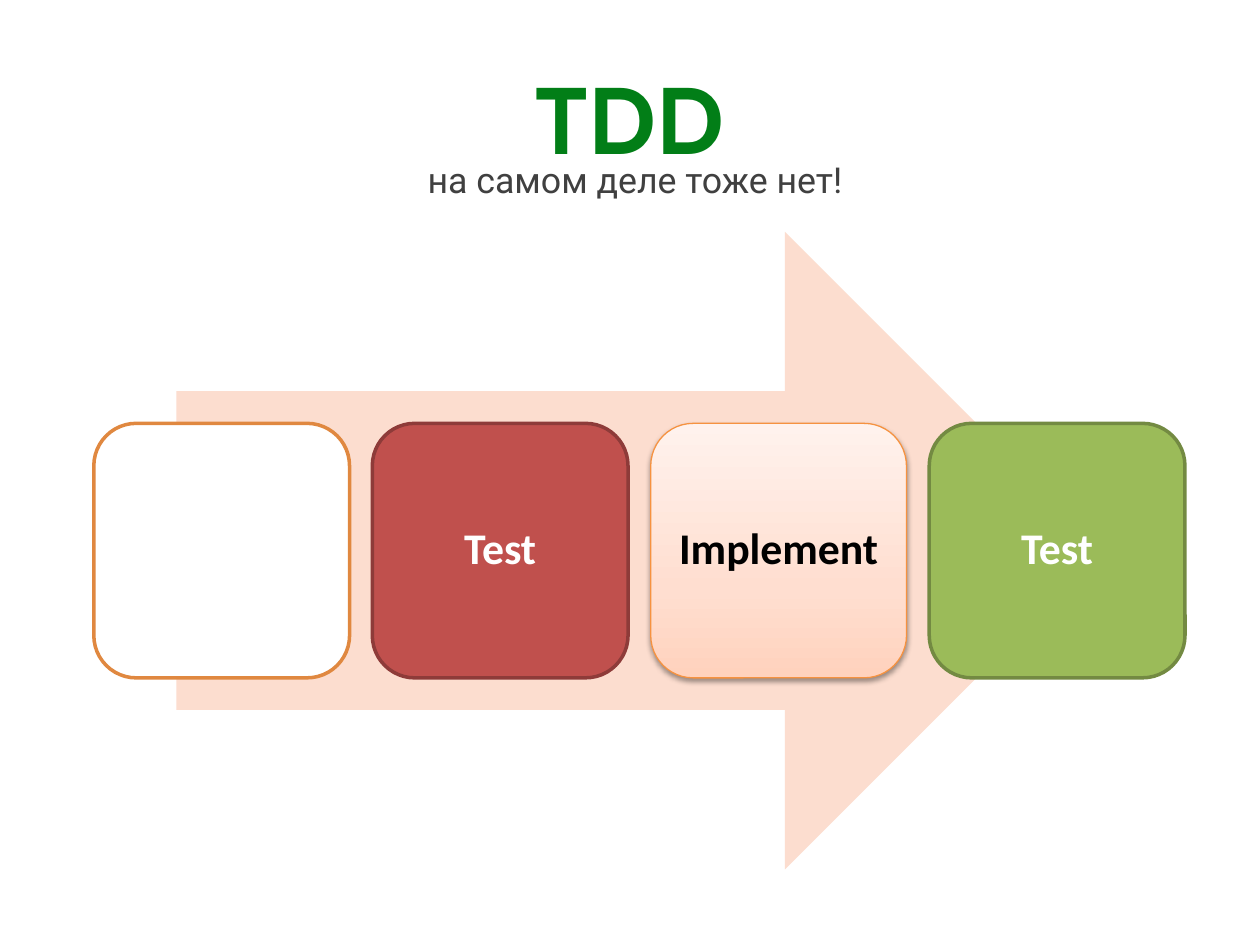
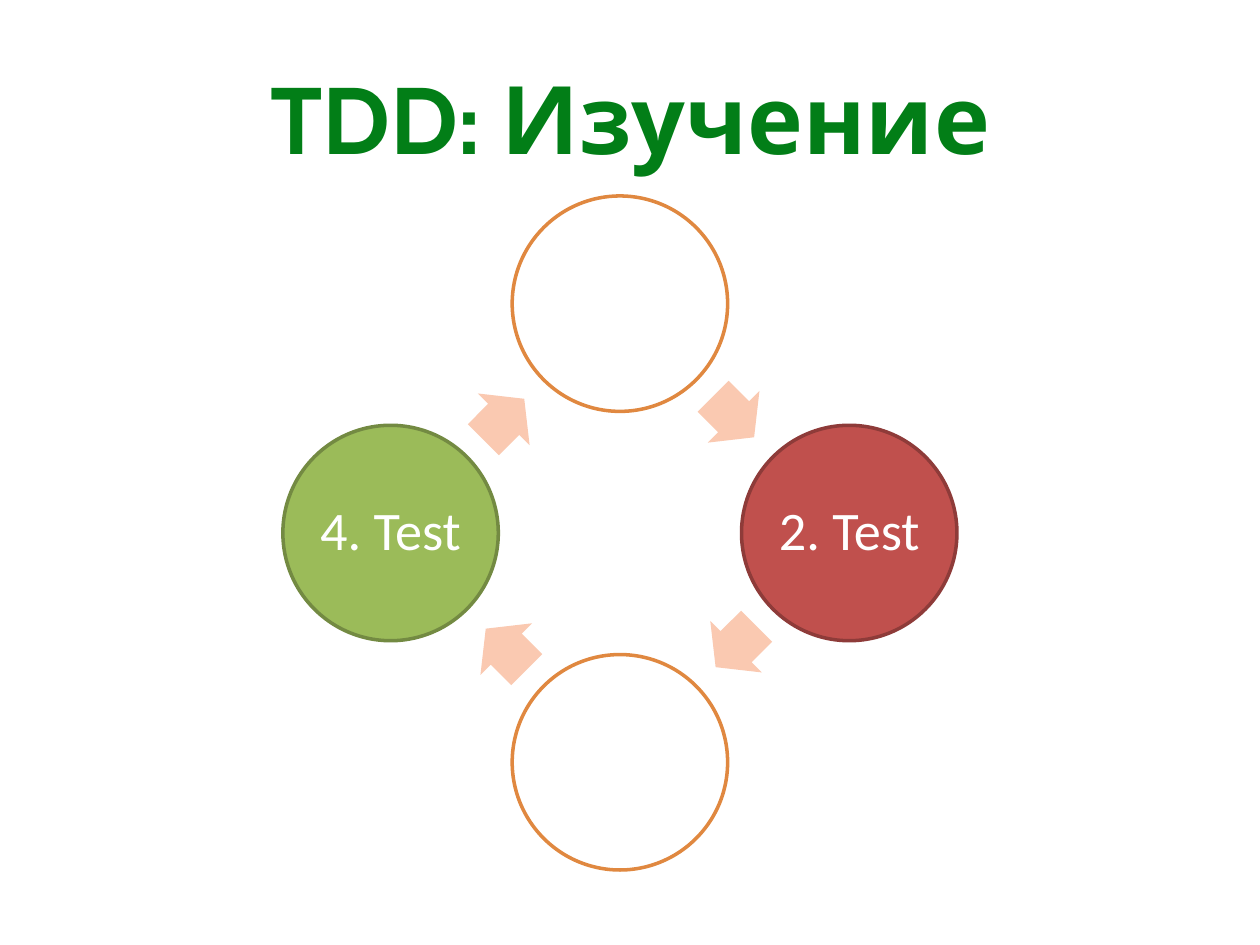
from copy import deepcopy
from math import cos, radians, sin

from lxml.etree import SubElement
from pptx import Presentation
from pptx.dml.color import RGBColor as RGB
from pptx.enum.shapes import MSO_SHAPE as Kind
from pptx.enum.text import MSO_ANCHOR as Anchor, MSO_AUTO_SIZE as Auto, PP_ALIGN as Align
from pptx.oxml.ns import qn
from pptx.util import Inches as In, Pt

WIDE, HIGH = 10, 7.5
WHITE = RGB(0xFF, 0xFF, 0xFF)
BLACK = RGB(0, 0, 0)
GREEN = RGB(0x02, 0x7E, 0x17)
GREY = RGB(0x40, 0x40, 0x40)
RIM = RGB(0xE0, 0x88, 0x40)
GLOW = RGB(0xF6, 0x92, 0x40)
RED, MAROON = RGB(0xC0, 0x50, 0x4D), RGB(0x8E, 0x3B, 0x39)
LIME, OLIVE = RGB(0x9B, 0xBB, 0x59), RGB(0x73, 0x8A, 0x42)
PEACH = RGB(0xFC, 0xDD, 0xCF)
CORAL = RGB(0xFA, 0xC9, 0xB1)
FADE = [(0, RGB(0xFF, 0xD2, 0xBD)), (0.35, RGB(0xFF, 0xDE, 0xD0)), (1, RGB(0xFF, 0xF2, 0xED))]


def write(shape, text, font="Calibri", size=25, color=WHITE, bold=False, inset=0.1, space=None):
    frame = shape.text_frame
    frame.auto_size = Auto.NONE
    frame.word_wrap = False
    frame.vertical_anchor = Anchor.MIDDLE
    frame.margin_left = frame.margin_right = In(inset)
    frame.margin_top = frame.margin_bottom = In(inset)
    para = frame.paragraphs[0]
    para.alignment = Align.CENTER
    para.line_spacing = space
    run = para.add_run()
    run.text = text
    run.font.name, run.font.size, run.font.bold = font, Pt(size), bold
    run.font.color.rgb = color


def draw(slide, kind, mid, size, fill, line=None):
    """Add a flat shape centred on the point mid."""
    (x, y), (w, h) = mid, size
    shape = slide.shapes.add_shape(kind, In(x - w / 2), In(y - h / 2), In(w), In(h))
    shape.shadow.inherit = False
    shape.fill.solid()
    shape.fill.fore_color.rgb = fill
    if line:
        shape.line.color.rgb = line
        shape.line.width = Pt(2)
    else:
        shape.line.fill.background()
    return shape


deck = Presentation()
deck.slide_width, deck.slide_height = In(WIDE), In(HIGH)
pages = []
for name in ("TDD", "TDD: Изучение"):
    page = deck.slides.add_slide(deck.slide_layouts[5])
    title = page.shapes.title
    title.left, title.top = In(0.05 * WIDE), In(0.04 * HIGH)
    title.width, title.height = In(0.9 * WIDE), In(1.25)
    write(title, name, font="Cabin", size=54, color=GREEN, bold=True)
    pages.append(page)
flow, cycle = pages

# Flow: four steps in a row over a broad arrow
MID = 4.37
LEFT, PITCH = 1.76, 2.21
draw(flow, Kind.RIGHT_ARROW, (5.08, MID), (7.36, 5.06), PEACH)
steps = [
    ("", WHITE, RIM, WHITE),
    ("Test", RED, MAROON, WHITE),
    ("Implement", WHITE, GLOW, BLACK),
    ("Test", LIME, OLIVE, WHITE),
]
boxes = []
for col, (word, fill, line, ink) in enumerate(steps):
    box = draw(flow, Kind.ROUNDED_RECTANGLE, (LEFT + col * PITCH, MID), (2.03, 2.02), fill, line)
    if word:
        write(box, word, color=ink, bold=True, space=0.9)
    boxes.append(box)

# The step to implement has a gradient and a soft shadow
build = boxes[2]
build.line.width = Pt(0.75)
build.fill.gradient()
build.fill.gradient_angle = 90
props = build._element.spPr
stops = props.find(qn("a:gradFill")).find(qn("a:gsLst"))
stops.insert(1, deepcopy(stops[0]))
for stop, (place, tint) in zip(build.fill.gradient_stops, FADE):
    stop.position = place
    stop.color.rgb = tint
shade = SubElement(props.find(qn("a:effectLst")), qn("a:outerShdw"),
                   blurRad=str(Pt(3.1)), dist=str(Pt(1.6)), dir="5400000", rotWithShape="0")
dark = SubElement(shade, qn("a:srgbClr"), val=str(BLACK))
SubElement(dark, qn("a:alpha"), val="38000")

note = flow.shapes.add_textbox(In(3.03), In(1.23), In(4.02), In(0.39))
write(note, "на самом деле тоже нет!", font="Roboto", size=20.4, color=GREY, inset=0.05)

# Cycle: four circles clockwise from the top, an arrow after each
HUB_X, HUB_Y = 4.92, 4.23
RING, TRACK = 1.82, 1.29
TURN = 90
LAG = 0.6
stages = [("", WHITE, RIM), ("2. Test", RED, MAROON), ("", WHITE, RIM), ("4. Test", LIME, OLIVE)]
for num, (word, fill, line) in enumerate(stages):
    turn = radians(num * TURN)
    spot = HUB_X + RING * sin(turn), HUB_Y - RING * cos(turn)
    disc = draw(cycle, Kind.OVAL, spot, (1.71, 1.71), fill, line)
    if word:
        write(disc, word, size=31, inset=0.04, space=0.9)

    tilt = num * TURN + TURN / 2
    turn = radians(tilt - LAG)
    spot = HUB_X + TRACK * sin(turn), HUB_Y - TRACK * cos(turn)
    arrow = draw(cycle, Kind.RIGHT_ARROW, spot, (0.46, 0.58), CORAL)
    arrow.adjustments[0] = 0.6
    arrow.rotation = tilt

deck.save("out.pptx")
